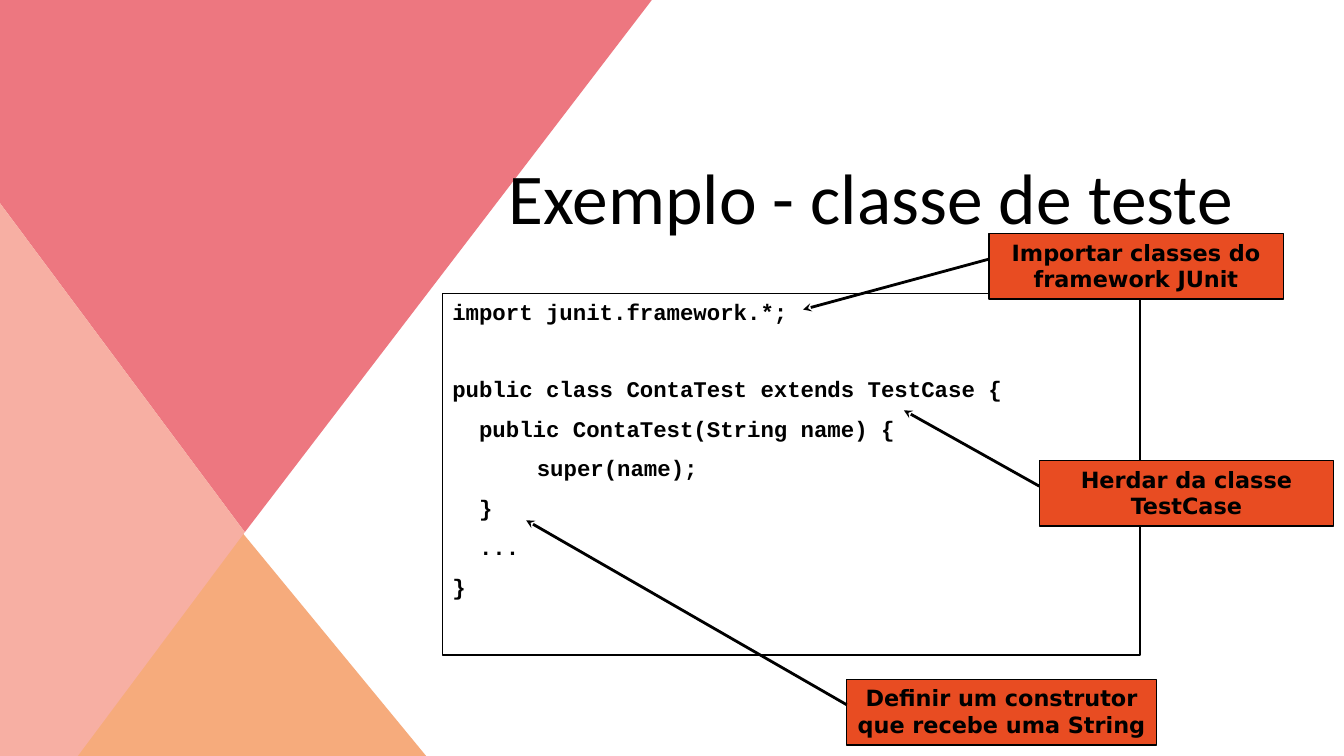
from lxml import etree
from pptx import Presentation
from pptx.dml.color import RGBColor
from pptx.enum.shapes import MSO_CONNECTOR, MSO_SHAPE
from pptx.enum.text import MSO_ANCHOR, PP_ALIGN
from pptx.oxml.ns import qn
from pptx.util import Cm, Pt

RECT, TRIANGLE = MSO_SHAPE.RECTANGLE, MSO_SHAPE.ISOSCELES_TRIANGLE
STRAIGHT = MSO_CONNECTOR.STRAIGHT
LEFT, CENTER = PP_ALIGN.LEFT, PP_ALIGN.CENTER
TOP, BOTTOM = MSO_ANCHOR.TOP, MSO_ANCHOR.BOTTOM

COLORS = {
    "rose": "ED7780",
    "blush": "F7AFA3",
    "peach": "F6AB7C",
    "callout": "E84C22",
    "ink": "000000",
}
WIDTH, HEIGHT = 33.87, 19.05
CODE_TAB = 2.13
ARROW_DROP = 0.64  # from the top of a callout to the start of its arrow

CODE = [
    "import junit.framework.*;",
    "public class ContaTest extends TestCase {",
    "  public ContaTest(String name) {",
    "\tsuper(name);",
    "  }",
    "  ...",
    "}",
]
CALLOUTS = [  # text, box, arrow tip
    ("Importar classes do framework JUnit", (24.92, 5.89, 7.42, 1.65), (20.24, 7.8)),
    ("Herdar da classe TestCase", (26.19, 11.61, 7.42, 1.65), (22.78, 10.34)),
    ("Definir um construtor que recebe uma String", (21.34, 17.12, 7.8, 1.65), (13.26, 13.11)),
]


def rgb(name):
    return RGBColor.from_string(COLORS[name])


def paint(sp, fill=None, line=None):
    sp.shadow.inherit = False
    if fill:
        sp.fill.solid()
        sp.fill.fore_color.rgb = rgb(fill)
    else:
        sp.fill.background()
    if line:
        sp.line.color.rgb = rgb(line)
        sp.line.width = Pt(1)
    else:
        sp.line.fill.background()


def set_frame(sp, anchor):
    tf = sp.text_frame
    tf.word_wrap = True
    tf.vertical_anchor = anchor
    return tf


def add_text(p, text, font, size, align, bold=False):
    p.alignment = align
    r = p.add_run()
    r.text = text
    r.font.name = font
    r.font.size = Pt(size)
    r.font.bold = bold
    r.font.color.rgb = rgb("ink")


def add_polygon(slide, points, fill):
    start, *rest = [(Cm(x), Cm(y)) for x, y in points]
    builder = slide.shapes.build_freeform(*start)
    builder.add_line_segments(rest, close=True)
    paint(builder.convert_to_shape(), fill)


def add_backdrop(slide, width, height):
    """Three coloured facets along the left side, meeting at one point."""
    meeting, edge = (6.17, 13.41), (0, 5.12)
    sp = slide.shapes.add_shape(
        TRIANGLE, Cm(1.42), Cm(13.39), Cm(9.32), Cm(height - 13.39))
    paint(sp, "peach")
    add_polygon(slide, [(0, 0), (0.485 * width, 0), meeting, edge], "rose")
    add_polygon(slide, [edge, meeting, (1.96, height), (0, height)], "blush")


def add_title(slide, box):
    sp = slide.shapes.add_textbox(*map(Cm, box))
    p = set_frame(sp, BOTTOM).paragraphs[0]
    p.line_spacing = 0.8
    add_text(p, "Exemplo - classe de teste", "Calibri", 51, CENTER)


def add_code(slide, box):
    sp = slide.shapes.add_shape(RECT, *map(Cm, box))
    paint(sp, line="ink")
    tf = set_frame(sp, TOP)
    for i, text in enumerate(CODE):
        p = tf.add_paragraph() if i else tf.paragraphs[0]
        if i:
            p.space_before = Pt(36 if i == 1 else 9)
        if "\t" in text:
            tabs = etree.SubElement(p._p.get_or_add_pPr(), qn("a:tabLst"))
            etree.SubElement(tabs, qn("a:tab"), pos=str(Cm(CODE_TAB)), algn="l")
        add_text(p, text, "Courier New", 16, LEFT, bold=True)


def add_callout(slide, text, box, tip):
    """A label with an arrow from its left edge to the tip."""
    sp = slide.shapes.add_shape(RECT, *map(Cm, box))
    paint(sp, "callout", "ink")
    p = set_frame(sp, TOP).paragraphs[0]
    add_text(p, text, "DejaVu Sans", 16, CENTER, bold=True)

    left, top = box[:2]
    arrow = slide.shapes.add_connector(
        STRAIGHT, Cm(left), Cm(top + ARROW_DROP), *map(Cm, tip))
    arrow.line.color.rgb = rgb("ink")
    arrow.line.width = Pt(2)
    etree.SubElement(arrow.line._get_or_add_ln(), qn("a:tailEnd"), type="stealth")
    etree.SubElement(arrow._element.spPr, qn("a:effectLst"))


def main():
    prs = Presentation()
    prs.slide_width, prs.slide_height = Cm(WIDTH), Cm(HEIGHT)
    slide = prs.slides.add_slide(prs.slide_layouts[6])
    add_backdrop(slide, WIDTH, HEIGHT)
    add_title(slide, (11.79, 3.71, 20.32, 2.41))
    add_code(slide, (11.15, 7.39, 17.58, 9.12))
    for text, box, tip in CALLOUTS:
        add_callout(slide, text, box, tip)
    prs.save("out.pptx")


if __name__ == "__main__":
    main()
